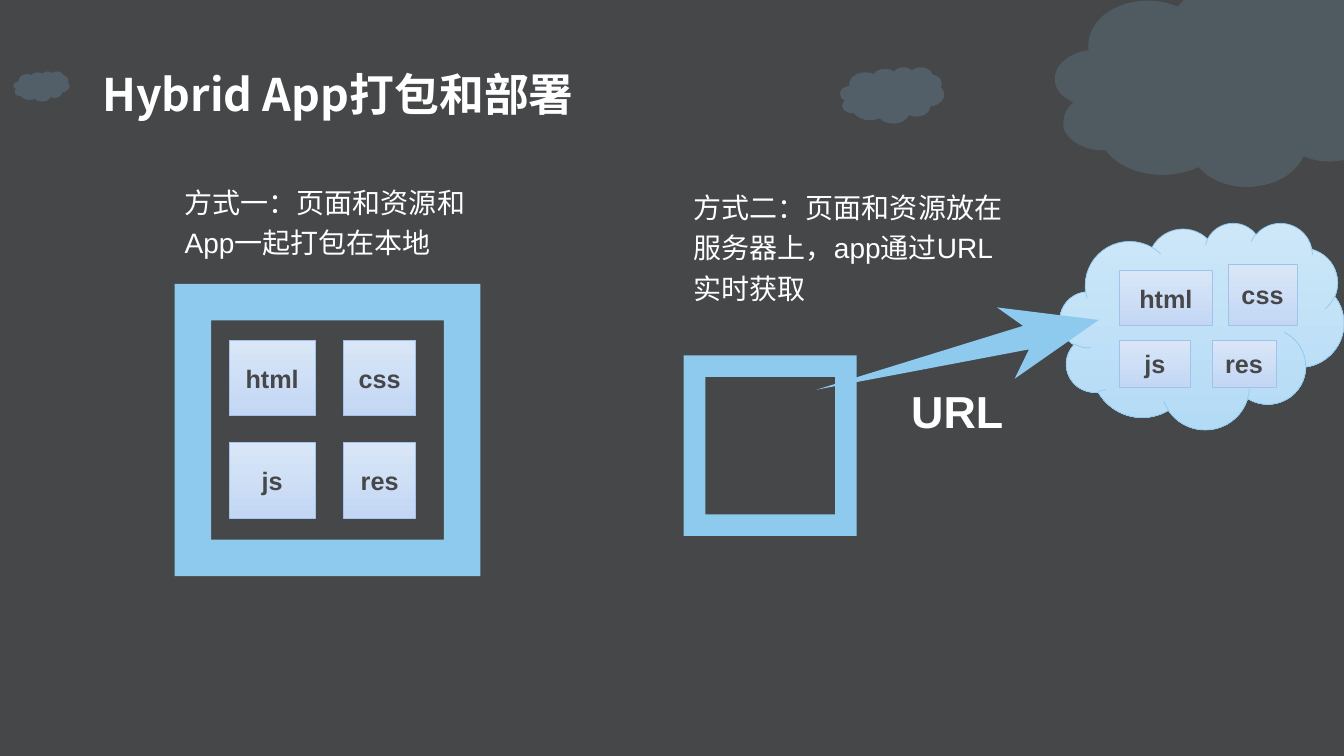
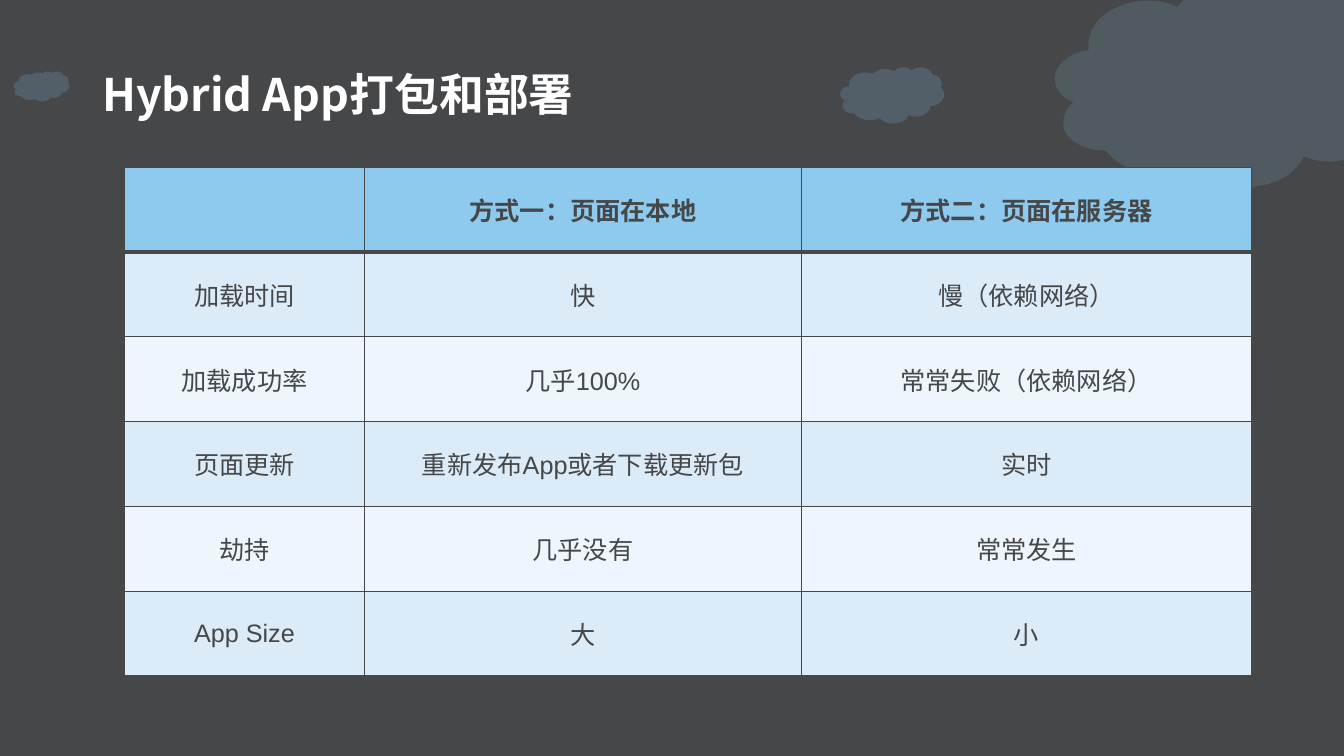
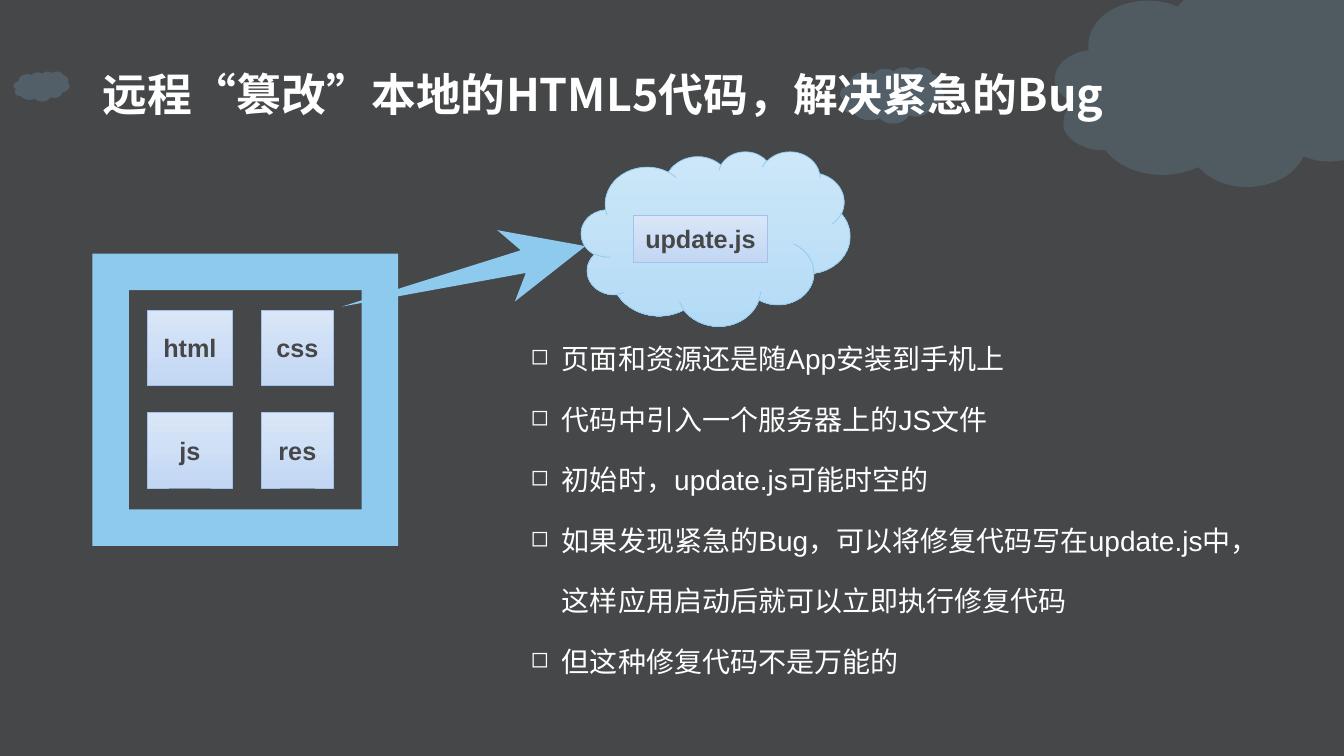
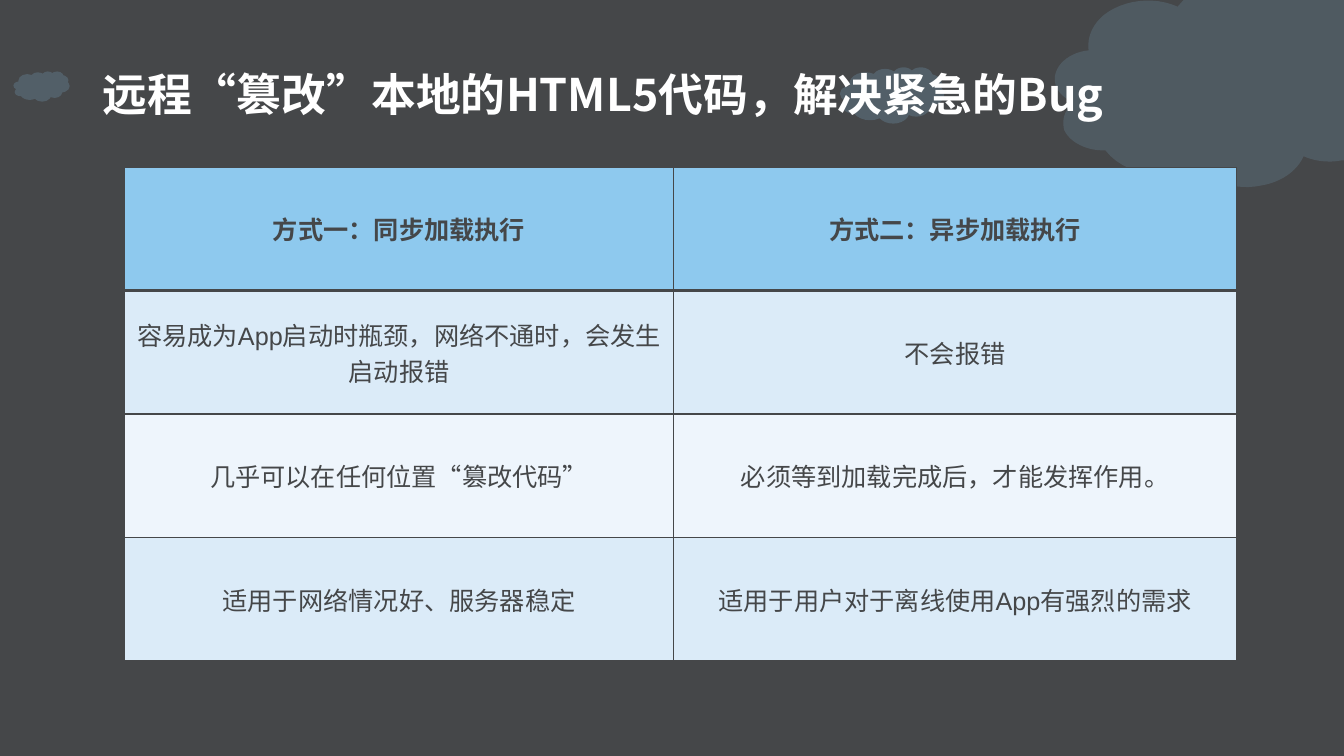
"""Build a four-slide deck on packaging and remotely patching hybrid apps."""
from dataclasses import dataclass
from typing import NamedTuple

from lxml.etree import SubElement
from pptx import Presentation
from pptx.dml.color import RGBColor
from pptx.enum.shapes import MSO_SHAPE
from pptx.enum.text import MSO_ANCHOR, PP_ALIGN
from pptx.oxml.ns import qn
from pptx.presentation import Presentation as Deck
from pptx.shapes.autoshape import Shape
from pptx.slide import Slide
from pptx.table import _Cell as Cell
from pptx.text.text import TextFrame
from pptx.util import Emu, Inches, Pt

WIDTH, HEIGHT = Inches(13.333), Inches(7.5)
COLUMNS = 16
DARK, WHITE, SKY = "454749", "FFFFFF", "8EC9EE"
TILE_EDGE = "A3C2EB"
TILE_GRADIENT = ("D9E6F7", "C3D7F4")
CLOUD_GRADIENT = ("CDE7F8", "B4DBF6")
BANDS = ("DBEBF8", "EEF5FC")
CJK_FONT = "Noto Sans CJK SC"


class Point(NamedTuple):
    """A place in grid columns and rows."""
    x: float
    y: float


class Box(NamedTuple):
    """A rectangle in grid columns and rows."""
    left: float
    top: float
    width: float
    height: float


@dataclass(frozen=True)
class TextStyle:
    """How the paragraphs of a text frame look."""
    size: float
    color: str = WHITE
    bold: bool = False
    font: str = "Arial"
    spacing: float = 1.0
    align: PP_ALIGN = PP_ALIGN.LEFT
    bullet: str = ""


@dataclass(frozen=True)
class Tile:
    """A labelled resource file."""
    label: str
    box: Box


TITLE = TextStyle(32, bold=True, font=CJK_FONT, spacing=0.9)
CAPTION = TextStyle(20, spacing=1.2)
BULLETS = TextStyle(20, spacing=1.8, bullet="◻")
URL_LABEL = TextStyle(32, bold=True)
TILE_LABEL = TextStyle(18, DARK, bold=True, align=PP_ALIGN.CENTER)
HEADER_CELL = TILE_LABEL
BODY_CELL = TextStyle(18, DARK, align=PP_ALIGN.CENTER)

TITLE_BOX = Box(1.1, 0.48, 13.8, 1.36)
SMALL_CLOUDS = (Box(10, 0.8, 1.24, 0.67), Box(0.16, 0.85, 0.67, 0.36))
CORNER = (Point(14.09, 0), Point(16, 0), Point(16, 1.91), Point(15.97, 1.91))
PUFFS = (
    (Point(15.82, 1.94), Point(15.65, 1.92), Point(15.52, 1.86)),
    (Point(15.44, 2.04), Point(15.25, 2.17), Point(15.01, 2.21)),
    (Point(14.72, 2.27), Point(14.42, 2.17), Point(14.27, 1.99)),
    (Point(13.88, 2.17), Point(13.38, 2.08), Point(13.16, 1.79)),
    (Point(12.95, 1.8), Point(12.74, 1.7), Point(12.67, 1.55)),
    (Point(12.64, 1.43), Point(12.67, 1.31), Point(12.78, 1.22)),
    (Point(12.62, 1.15), Point(12.54, 1.03), Point(12.56, 0.9)),
    (Point(12.59, 0.74), Point(12.76, 0.62), Point(12.96, 0.6)),
    (Point(12.94, 0.44), Point(13.01, 0.29), Point(13.14, 0.18)),
    (Point(13.37, 0), Point(13.73, -0.05), Point(14.02, 0.08)),
)


def grid(count: float) -> Emu:
    """Turn grid columns or rows into a length."""
    return Emu(round(count * WIDTH / COLUMNS))


def place(box: Box) -> tuple[Emu, ...]:
    """Turn a grid box into left, top, width and height."""
    return tuple(grid(length) for length in box)


def rgb(color: str) -> RGBColor:
    """Turn a hex string into a colour."""
    return RGBColor.from_string(color)


def write(frame: TextFrame, lines: list[str], style: TextStyle) -> None:
    """Fill a text frame with one paragraph per line."""
    for index, line in enumerate(lines):
        para = frame.add_paragraph() if index else frame.paragraphs[0]
        para.text = line
        para.alignment = style.align
        para.line_spacing = style.spacing
        para.font.size = Pt(style.size)
        para.font.bold = style.bold
        para.font.name = style.font
        para.font.color.rgb = rgb(style.color)
        properties = para._p.get_or_add_pPr()
        defaults = properties.find(qn("a:defRPr"))
        SubElement(defaults, qn("a:ea"), typeface=CJK_FONT)
        if style.bullet:
            indent = Inches(0.31)
            properties.set("marL", str(indent))
            properties.set("indent", str(-indent))
            for tag, settings in (("a:buSzPct", {"val": "80000"}),
                                  ("a:buChar", {"char": style.bullet})):
                defaults.addprevious(properties.makeelement(qn(tag), settings))


def add_text(page: Slide, box: Box, lines: list[str], style: TextStyle,
             anchor: MSO_ANCHOR = MSO_ANCHOR.TOP) -> None:
    """Add a text box."""
    frame = page.shapes.add_textbox(*place(box)).text_frame
    frame.word_wrap = True
    frame.vertical_anchor = anchor
    write(frame, lines, style)


def paint(shape: Shape, color: str, opacity: int = 100) -> None:
    """Give a shape a flat fill without line or shadow."""
    shape.shadow.inherit = False
    shape.line.fill.background()
    shape.fill.solid()
    shape.fill.fore_color.rgb = rgb(color)
    if opacity < 100:
        tint = shape.element.spPr.find(f"{qn('a:solidFill')}/{qn('a:srgbClr')}")
        SubElement(tint, qn("a:alpha"), val=str(opacity * 1000))


def add_gradient_shape(page: Slide, kind: MSO_SHAPE, box: Box,
                       colors: tuple[str, str], edge: str) -> Shape:
    """Add a shape shaded from top to bottom with a thin edge."""
    shape = page.shapes.add_shape(kind, *place(box))
    shape.shadow.inherit = False
    shape.fill.gradient()
    shape.fill.gradient_angle = 270
    for stop, color in zip(shape.fill.gradient_stops, colors):
        stop.color.rgb = rgb(color)
    shape.line.color.rgb = rgb(edge)
    shape.line.width = Pt(0.5)
    return shape


def add_tile(page: Slide, tile: Tile) -> None:
    """Add a labelled resource tile."""
    shape = add_gradient_shape(page, MSO_SHAPE.RECTANGLE, tile.box, TILE_GRADIENT, TILE_EDGE)
    shape.text_frame.word_wrap = False
    shape.text_frame.vertical_anchor = MSO_ANCHOR.MIDDLE
    write(shape.text_frame, [tile.label], TILE_LABEL)


def add_cloud(page: Slide, box: Box) -> None:
    """Add a server cloud."""
    add_gradient_shape(page, MSO_SHAPE.CLOUD, box, CLOUD_GRADIENT, SKY)


def add_frame(page: Slide, box: Box) -> None:
    """Add the frame that stands for an app."""
    paint(page.shapes.add_shape(MSO_SHAPE.FRAME, *place(box)), SKY)


def add_packed_app(page: Slide, left: float, top: float) -> None:
    """Add an app frame holding its four resource tiles."""
    add_frame(page, Box(left, top, 3.64, 3.48))
    for index, label in enumerate(("html", "css", "js", "res")):
        row, column = divmod(index, 2)
        add_tile(page, Tile(label, Box(left + 0.65 + 1.36 * column, top + 0.67 + 1.22 * row,
                                       (1.02, 0.86)[column], 0.9)))


def add_outline(page: Slide, points: list[Point], opacity: int = 100) -> None:
    """Add a closed sky-blue outline."""
    first, *rest = [(grid(point.x), grid(point.y)) for point in points]
    builder = page.shapes.build_freeform(*first)
    builder.add_line_segments(rest, close=True)
    paint(builder.convert_to_shape(), SKY, opacity)


def curve(start: Point, puff: tuple[Point, Point, Point], steps: int = 12) -> list[Point]:
    """Sample a cubic curve after its start."""
    samples = []
    for step in range(1, steps + 1):
        t = step / steps
        weights = ((1 - t) ** 3, 3 * t * (1 - t) ** 2, 3 * t * t * (1 - t), t ** 3)
        knots = (start, *puff)
        samples.append(Point(sum(w * knot.x for w, knot in zip(weights, knots)),
                             sum(w * knot.y for w, knot in zip(weights, knots))))
    return samples


def add_page(deck: Deck, title: str) -> Slide:
    """Add a slide with the shared clouds and title."""
    page = deck.slides.add_slide(deck.slide_layouts[6])
    outline = list(CORNER)
    for puff in PUFFS:
        outline += curve(outline[-1], puff)
    add_outline(page, outline, opacity=15)
    for box in SMALL_CLOUDS:
        paint(page.shapes.add_shape(MSO_SHAPE.CLOUD, *place(box)), SKY, opacity=19)
    add_text(page, TITLE_BOX, [title], TITLE, MSO_ANCHOR.MIDDLE)
    return page


def set_borders(cell: Cell, row: int) -> None:
    """Rule a cell, with a heavy line under the header row."""
    widths = {"L": 1, "R": 1, "T": 3 if row == 1 else 1, "B": 3 if row == 0 else 1}
    properties = cell._tc.get_or_add_tcPr()
    for side, width in widths.items():
        line = SubElement(properties, qn(f"a:ln{side}"), w=str(Pt(width)))
        SubElement(SubElement(line, qn("a:solidFill")), qn("a:srgbClr"), val=DARK)


def add_comparison(page: Slide, columns: list[float], row_height: float,
                   rows: list[list[str]]) -> None:
    """Add a banded comparison table."""
    box = Box(1.48, 1.99, sum(columns), row_height * len(rows))
    table = page.shapes.add_table(len(rows), len(columns), *place(box)).table
    for column, width in zip(table.columns, columns):
        column.width = grid(width)
    for row, texts in enumerate(rows):
        table.rows[row].height = grid(row_height)
        for column, text in enumerate(texts):
            cell = table.cell(row, column)
            set_borders(cell, row)
            cell.fill.solid()
            cell.fill.fore_color.rgb = rgb(BANDS[(row - 1) % 2] if row else SKY)
            cell.vertical_anchor = MSO_ANCHOR.MIDDLE
            write(cell.text_frame, [text], BODY_CELL if row else HEADER_CELL)


def build_packaging(deck: Deck, title: str) -> None:
    """Show local packaging beside pages kept on a server."""
    page = add_page(deck, title)
    add_cloud(page, Box(12.62, 2.65, 3.38, 2.46))
    add_packed_app(page, 2.08, 3.38)
    add_text(page, Box(2.08, 2.07, 3.64, 1.08), ["方式一：页面和资源和App一起打包在本地"], CAPTION)
    add_frame(page, Box(8.14, 4.23, 2.06, 2.15))
    for tile in (Tile("html", Box(13.33, 3.22, 1.1, 0.66)),
                 Tile("css", Box(14.62, 3.15, 0.82, 0.72)),
                 Tile("js", Box(13.33, 4.05, 0.84, 0.56)),
                 Tile("res", Box(14.43, 4.05, 0.76, 0.56))):
        add_tile(page, tile)
    add_text(page, Box(8.14, 2.13, 3.92, 1.56),
             ["方式二：页面和资源放在服务器上，app通过URL实时获取"], CAPTION)
    add_outline(page, [Point(11.87, 3.66), Point(13.08, 3.81), Point(12.08, 4.51),
                       Point(12.25, 4.16), Point(9.72, 4.64), Point(12.18, 3.88)])
    add_text(page, Box(10.73, 4.51, 1.6, 0.76), ["URL"], URL_LABEL)


def build_packaging_table(deck: Deck, title: str) -> None:
    """Compare the two ways of packaging."""
    add_comparison(add_page(deck, title), [2.86, 5.2, 5.36], 1.01, [
        ["", "方式一：页面在本地", "方式二：页面在服务器"],
        ["加载时间", "快", "慢（依赖网络）"],
        ["加载成功率", "几乎100%", "常常失败（依赖网络）"],
        ["页面更新", "重新发布App或者下载更新包", "实时"],
        ["劫持", "几乎没有", "常常发生"],
        ["App Size", "大", "小"],
    ])


def build_patching(deck: Deck, title: str) -> None:
    """Show a packed app that fetches a patch script."""
    page = add_page(deck, title)
    add_packed_app(page, 1.1, 3.02)
    add_cloud(page, Box(6.92, 1.8, 3.2, 2.08))
    add_tile(page, Tile("update.js", Box(7.54, 2.56, 1.6, 0.56)))
    add_outline(page, [Point(5.92, 2.74), Point(6.97, 2.93), Point(6.13, 3.59),
                       Point(6.26, 3.25), Point(4.07, 3.65), Point(6.2, 2.98)])
    add_text(page, Box(6.2, 3.69, 9.05, 4.44), [
        "页面和资源还是随App安装到手机上",
        "代码中引入一个服务器上的JS文件",
        "初始时，update.js可能时空的",
        "如果发现紧急的Bug，可以将修复代码写在update.js中，这样应用启动后就可以立即执行修复代码",
        "但这种修复代码不是万能的",
    ], BULLETS)


def build_patching_table(deck: Deck, title: str) -> None:
    """Compare the two ways of loading the patch."""
    add_comparison(add_page(deck, title), [6.54, 6.7], 1.47, [
        ["方式一：同步加载执行", "方式二：异步加载执行"],
        ["容易成为App启动时瓶颈，网络不通时，会发生启动报错", "不会报错"],
        ["几乎可以在任何位置“篡改代码”", "必须等到加载完成后，才能发挥作用。"],
        ["适用于网络情况好、服务器稳定", "适用于用户对于离线使用App有强烈的需求"],
    ])


def main() -> None:
    """Build and save the deck."""
    deck = Presentation()
    deck.slide_width, deck.slide_height = WIDTH, HEIGHT
    background = deck.slide_master.background.fill
    background.solid()
    background.fore_color.rgb = rgb(DARK)
    packaging = "Hybrid App打包和部署"
    patching = "远程“篡改”本地的HTML5代码，解决紧急的Bug"
    build_packaging(deck, packaging)
    build_packaging_table(deck, packaging)
    build_patching(deck, patching)
    build_patching_table(deck, patching)
    deck.save("out.pptx")


if __name__ == "__main__":
    main()
